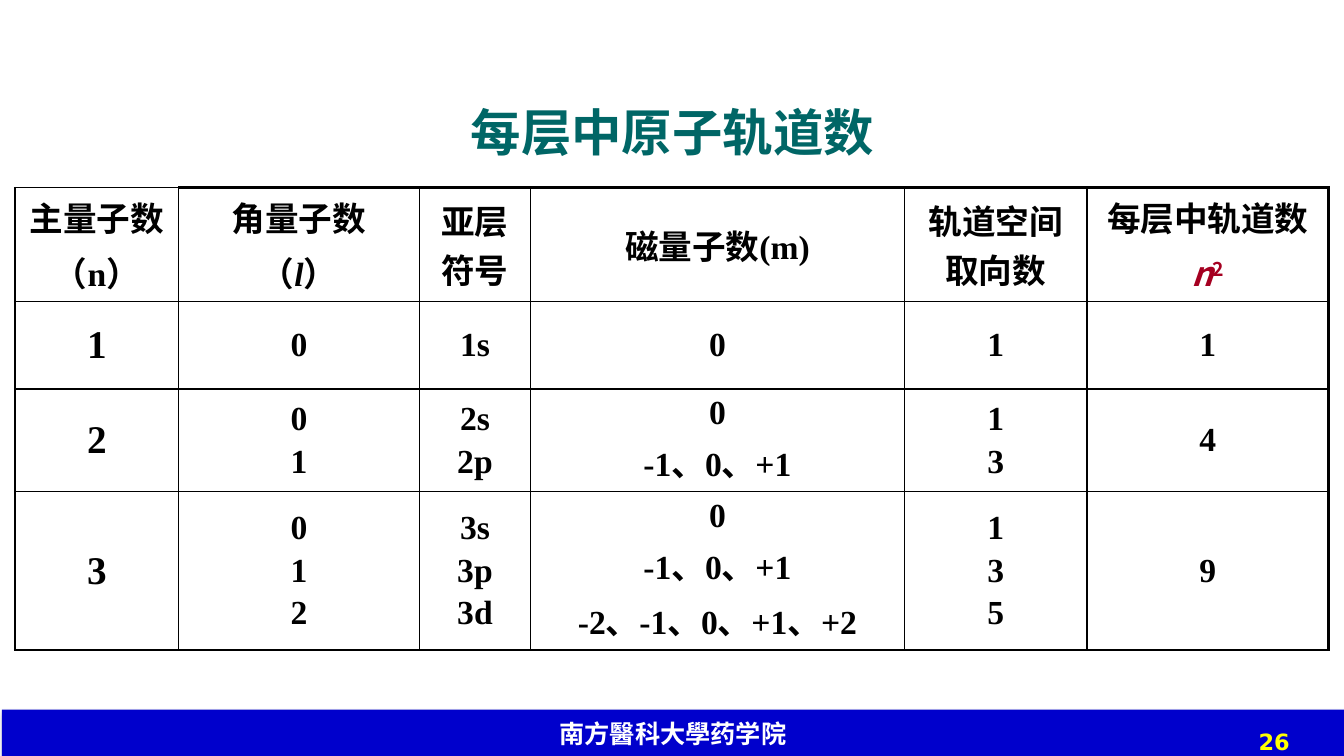
from lxml import etree
from pptx import Presentation
from pptx.dml.color import RGBColor
from pptx.enum.shapes import MSO_SHAPE as Shape
from pptx.enum.text import MSO_ANCHOR as Anchor, PP_ALIGN as Align
from pptx.oxml import parse_xml
from pptx.oxml.ns import nsdecls, qn
from pptx.util import Pt

BLACK = RGBColor(0, 0, 0)
WHITE = RGBColor(255, 255, 255)
TEAL = RGBColor(0, 0x66, 0x66)
BLUE = RGBColor(0, 0, 0xCC)
YELLOW = RGBColor(255, 255, 0)
CRIMSON = RGBColor(0xA5, 0, 0x21)
CHINESE = "Noto Sans CJK SC"
SERIF = "Times New Roman"
THIN, THICK = 1, 2.25

COLUMN_WIDTHS = (116.8, 172, 79.4, 267, 130.5, 172.6)
ROW_HEIGHTS = (81.4, 62.6, 73.4, 113)
ROWS = (
    (("主量子数", "（n）"), ("角量子数", "（l）"), ("亚层符号",),
     ("磁量子数(m)",), ("轨道空间取向数",), ("每层中轨道数", "n2")),
    (("1",), ("0",), ("1s",), ("0",), ("1",), ("1",)),
    (("2",), ("0", "1"), ("2s", "2p"), ("0", "-1、0、+1"), ("1", "3"), ("4",)),
    (("3",), ("0", "1", "2"), ("3s", "3p", "3d"),
     ("0", "-1、0、+1", "-2、-1、0、+1、+2"), ("1", "3", "5"), ("9",)),
)


def style(para, size, name, color, align):
    """Set the alignment and bold font of a paragraph."""
    para.alignment = align
    font = para.font
    font.size, font.name, font.bold = Pt(size), name, True
    font.color.rgb = color


def write(shape, text, size, name, color, align, anchor):
    """Put one styled paragraph into a shape."""
    frame = shape.text_frame
    frame.word_wrap = True
    frame.vertical_anchor = anchor
    para = frame.paragraphs[0]
    para.add_run().text = text
    style(para, size, name, color, align)


def add_title(page, left, top, width, height):
    """Add the slide title."""
    box = page.shapes.add_textbox(Pt(left), Pt(top), Pt(width), Pt(height))
    write(box, "每层中原子轨道数", 36, "Arial", TEAL, Align.CENTER, Anchor.BOTTOM)


def add_footer(page, left, top, width, height):
    """Add the school bar with its shadow and the page number."""
    bar = page.shapes.add_shape(Shape.RECTANGLE, Pt(left), Pt(top), Pt(width), Pt(height))
    bar.fill.solid()
    bar.fill.fore_color.rgb = BLUE
    bar.line.fill.background()
    bar.shadow.inherit = False
    effects = bar.element.spPr.find(qn("a:effectLst"))
    effects.append(parse_xml(
        f'<a:outerShdw {nsdecls("a")} blurRad="{Pt(3.5)}" dist="{Pt(2.2)}" dir="5400000">'
        f'<a:srgbClr val="{BLACK}"><a:alpha val="32000"/></a:srgbClr></a:outerShdw>'))
    write(bar, "南方醫科大學药学院", 18, CHINESE, WHITE, Align.CENTER, Anchor.MIDDLE)
    number = page.shapes.add_textbox(
        Pt(left + width - 255.6), Pt(top), Pt(224), Pt(height + 2.2))
    write(number, "26", 16, "DejaVu Sans", YELLOW, Align.RIGHT, Anchor.BOTTOM)


def add_borders(cell, widths):
    """Draw the left, right, top and bottom borders of a cell."""
    properties = cell._tc.get_or_add_tcPr()
    for index, (side, width) in enumerate(zip("LRTB", widths)):
        line = etree.Element(qn(f"a:ln{side}"), w=str(Pt(width)))
        fill = etree.SubElement(line, qn("a:solidFill"))
        etree.SubElement(fill, qn("a:srgbClr"), val=str(BLACK))
        properties.insert(index, line)


def fill_cell(cell, lines, size):
    """Write the lines of a cell, with symbols in italics."""
    cell.vertical_anchor = Anchor.MIDDLE
    cell.fill.background()
    frame = cell.text_frame
    for index, line in enumerate(lines):
        para = frame.add_paragraph() if index else frame.paragraphs[0]
        pieces = line if line in ("（l）", "n2") else (line,)
        for piece in pieces:
            span = para.add_run()
            span.text = piece
            if piece in ("l", "n"):
                span.font.italic = True
            if line == "n2" and piece == "2":
                span.font._element.set("baseline", "30000")
        if index:
            para.space_before = Pt(4)
        if line == "n2":
            style(para, size, CHINESE, CRIMSON, Align.CENTER)
        else:
            style(para, size, SERIF, BLACK, Align.CENTER)


def add_orbital_table(page, left, top, width, height):
    """Add the table of quantum numbers and orbitals."""
    last_row, last_column = len(ROWS) - 1, len(COLUMN_WIDTHS) - 1
    table = page.shapes.add_table(
        len(ROWS), len(COLUMN_WIDTHS), Pt(left), Pt(top), Pt(width), Pt(height)).table
    table.first_row = table.horz_banding = False
    for column, column_width in zip(table.columns, COLUMN_WIDTHS):
        column.width = Pt(column_width)
    for r, (row, row_height) in enumerate(zip(ROWS, ROW_HEIGHTS)):
        table.rows[r].height = Pt(row_height)
        for c, lines in enumerate(row):
            cell = table.cell(r, c)
            fill_cell(cell, lines, 28 if r and not c else 24)
            heavy = (c == 0, c == last_column, r == 0 and c > 0, r == last_row)
            add_borders(cell, [THICK if edge else THIN for edge in heavy])


def main():
    """Build the slide and save it."""
    deck = Presentation()
    deck.slide_width, deck.slide_height = Pt(960), Pt(540)
    page = deck.slides.add_slide(deck.slide_layouts[6])
    add_footer(page, 1.4, 506.9, 958.6, 33.8)
    add_orbital_table(page, 10.8, 133.9, sum(COLUMN_WIDTHS), sum(ROW_HEIGHTS))
    add_title(page, 174.2, 70.6, 612, 48.2)
    deck.save("out.pptx")


if __name__ == "__main__":
    main()
